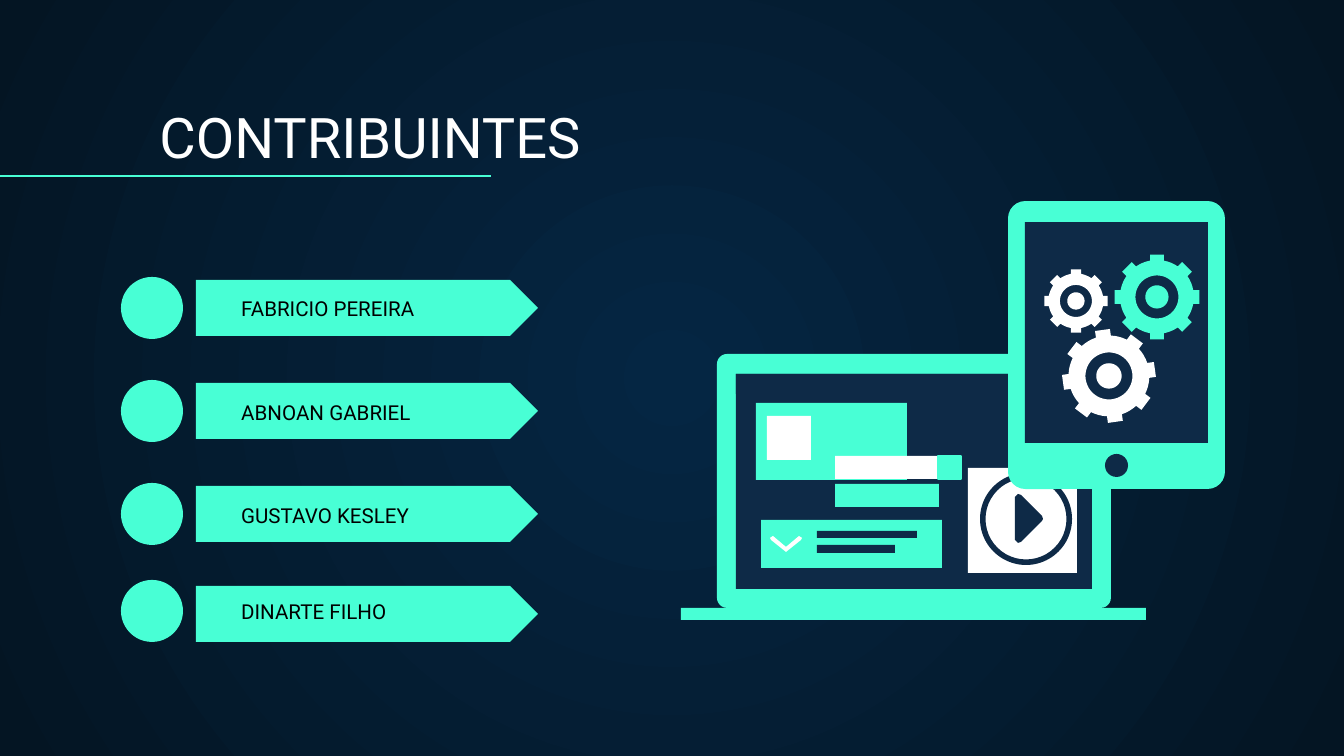
"""Build the contributors slide with its laptop and tablet drawing."""
from math import asin, cos, pi, sin

from lxml import etree
from pptx import Presentation
from pptx import util as u
from pptx.dml.color import RGBColor
from pptx.enum import shapes, text
from pptx.oxml import ns

HUES = {"mint": "48FFD5", "navy": "0E2A47", "white": "FFFFFF",
        "black": "000000", "glow": "052643", "edge": "041523"}
SCALE = 914400 / 134.4
KIND = shapes.MSO_SHAPE


def px(num):
    return u.Emu(round(num * SCALE))


def hue(name):
    return RGBColor.from_string(HUES[name])


def circle(mid, rad, steps=48):
    return [(mid[0] + rad * cos(2 * pi * i / steps),
             mid[1] + rad * sin(2 * pi * i / steps)) for i in range(steps)]


class Pen:
    """Hold the font and the current slide, and draw on it."""

    def __init__(self, slide, font="Roboto"):
        self.slide, self.font = slide, font

    def back(self, inner, outer):
        fill = self.slide.background.fill
        fill.gradient()
        for stop, name in zip(fill.gradient_stops, (inner, outer)):
            stop.color.rgb = hue(name)
        lin = self.slide.element.xpath(".//a:lin")[0]
        ring = etree.Element(ns.qn("a:path"), path="circle")
        etree.SubElement(ring, ns.qn("a:fillToRect"),
                         l="50000", t="50000", r="50000", b="50000")
        lin.getparent().replace(lin, ring)

    def paint(self, shape, fill):
        shape.shadow.inherit = False
        shape.fill.solid()
        shape.fill.fore_color.rgb = hue(fill)
        shape.line.fill.background()
        return shape

    def shape(self, box, fill, kind=KIND.RECTANGLE, adj=None):
        shape = self.slide.shapes.add_shape(kind, *map(px, box))
        if adj is not None:
            shape.adjustments[0] = adj
        return self.paint(shape, fill)

    def free(self, fill, *loops):
        loops = [[(px(x), px(y)) for x, y in loop] for loop in loops]
        form = self.slide.shapes.build_freeform(*loops[0][0], scale=1.0)
        form.add_line_segments(loops[0][1:], close=True)
        for loop in loops[1:]:
            form.move_to(*loop[0])
            form.add_line_segments(loop[1:], close=True)
        return self.paint(form.convert_to_shape(), fill)

    def gear(self, mid, rad, fill, turn=0):
        body, half = rad * 0.86, rad * 0.16
        low, top = asin(half / body), asin(half / rad)
        rim = []
        for i in range(8):
            axis = i * pi / 4 + turn * pi / 180
            spots = [(body, -low), (rad, -top), (rad, top), (body, low)]
            gap = pi / 4 - 2 * low
            spots += [(body, low + gap * k / 4) for k in (1, 2, 3)]
            rim += [(mid[0] + r * sin(axis + a), mid[1] - r * cos(axis + a))
                    for r, a in spots]
        self.free(fill, rim, circle(mid, rad / 2)[::-1],
                  circle(mid, rad * 0.27))

    def line(self, start, end, color):
        line = self.slide.shapes.add_connector(
            shapes.MSO_CONNECTOR.STRAIGHT, *map(px, start + end))
        line.line.color.rgb = hue(color)
        line.line.width = u.Pt(0.75)
        etree.SubElement(line.element.spPr, ns.qn("a:effectLst"))

    def words(self, shape, words, size, color):
        frame = shape.text_frame
        frame.text = words
        frame.word_wrap = True
        frame.auto_size = text.MSO_AUTO_SIZE.NONE
        frame.vertical_anchor = text.MSO_ANCHOR.BOTTOM
        frame.margin_left = frame.margin_right = u.Inches(0.1)
        frame.margin_top = frame.margin_bottom = u.Inches(0.1)
        para = frame.paragraphs[0]
        para.alignment = text.PP_ALIGN.LEFT
        para.font.name, para.font.size = self.font, u.Pt(size)
        para.font.color.rgb = hue(color)

    def title(self, box, words):
        shape = self.slide.shapes.title
        shape.left, shape.top, shape.width, shape.height = map(px, box)
        self.words(shape, words, 30, "white")

    def label(self, box, words):
        shape = self.slide.shapes.add_textbox(*map(px, box))
        self.words(shape, words, 11, "black")


def people(pen):
    rows = [("FABRICIO PEREIRA", 277, 280, 306),
            ("ABNOAN GABRIEL", 380, 383, 410),
            ("GUSTAVO KESLEY", 483, 486, 513),
            ("DINARTE FILHO", 580, 586, 609)]
    for name, dot, tag, label in rows:
        pen.shape((196, tag, 342, 56), "mint", KIND.PENTAGON, 0.5)
        pen.shape((121, dot, 62, 62), "mint", KIND.OVAL)
        pen.label((228, label, 305, 28), name)


def laptop(pen):
    pen.shape((717, 354, 394, 254), "mint", KIND.ROUNDED_RECTANGLE, 0.04)
    parts = [((736, 374, 356, 215), "navy"), ((681, 608, 465, 12), "mint"),
             ((736, 374, 356, 20), "navy"), ((756, 403, 151, 77), "mint"),
             ((767, 416, 44, 44), "white"), ((809, 520, 133, 48), "mint"),
             ((817, 531, 100, 7), "navy"), ((817, 545, 78, 8), "navy"),
             ((761, 520, 48, 48), "mint"), ((835, 484, 104, 23), "mint"),
             ((835, 456, 103, 23), "white"), ((968, 468, 109, 105), "white")]
    for box, fill in parts:
        pen.shape(box, fill)
    knob = pen.shape((938, 456, 23, 23), "mint")
    knob.line.color.rgb = hue("mint")
    knob.line.width = u.Pt(0.75)
    pen.free("white", [(770, 538), (773, 536), (786, 547), (799, 536),
                       (802, 538), (801, 540), (786, 552), (771, 540)])
    pen.shape((980, 473, 92, 92), "navy", KIND.DONUT, 0.06)
    pen.free("navy", [(1015, 497), (1018, 494), (1021, 495), (1042, 516),
                      (1043, 519), (1042, 521), (1021, 542), (1018, 543),
                      (1015, 540)])


def tablet(pen):
    pen.shape((1008, 201, 217, 288), "mint", KIND.ROUNDED_RECTANGLE, 0.08)
    pen.shape((1025, 222, 183, 221), "navy")
    pen.shape((1105, 454, 23, 23), "navy", KIND.OVAL)
    pen.gear((1157, 297), 43, "mint")
    pen.gear((1076, 301), 32, "white")
    pen.gear((1109, 376), 47, "white", -8)


def main():
    deck = Presentation()
    deck.slide_width, deck.slide_height = px(1344), px(756)
    pen = Pen(deck.slides.add_slide(deck.slide_layouts[5]))
    pen.back("glow", "edge")
    pen.title((146, 94, 1152, 89), "CONTRIBUINTES")
    pen.line((0, 176), (491, 176), "mint")
    people(pen)
    laptop(pen)
    tablet(pen)
    deck.save("out.pptx")


if __name__ == "__main__":
    main()
